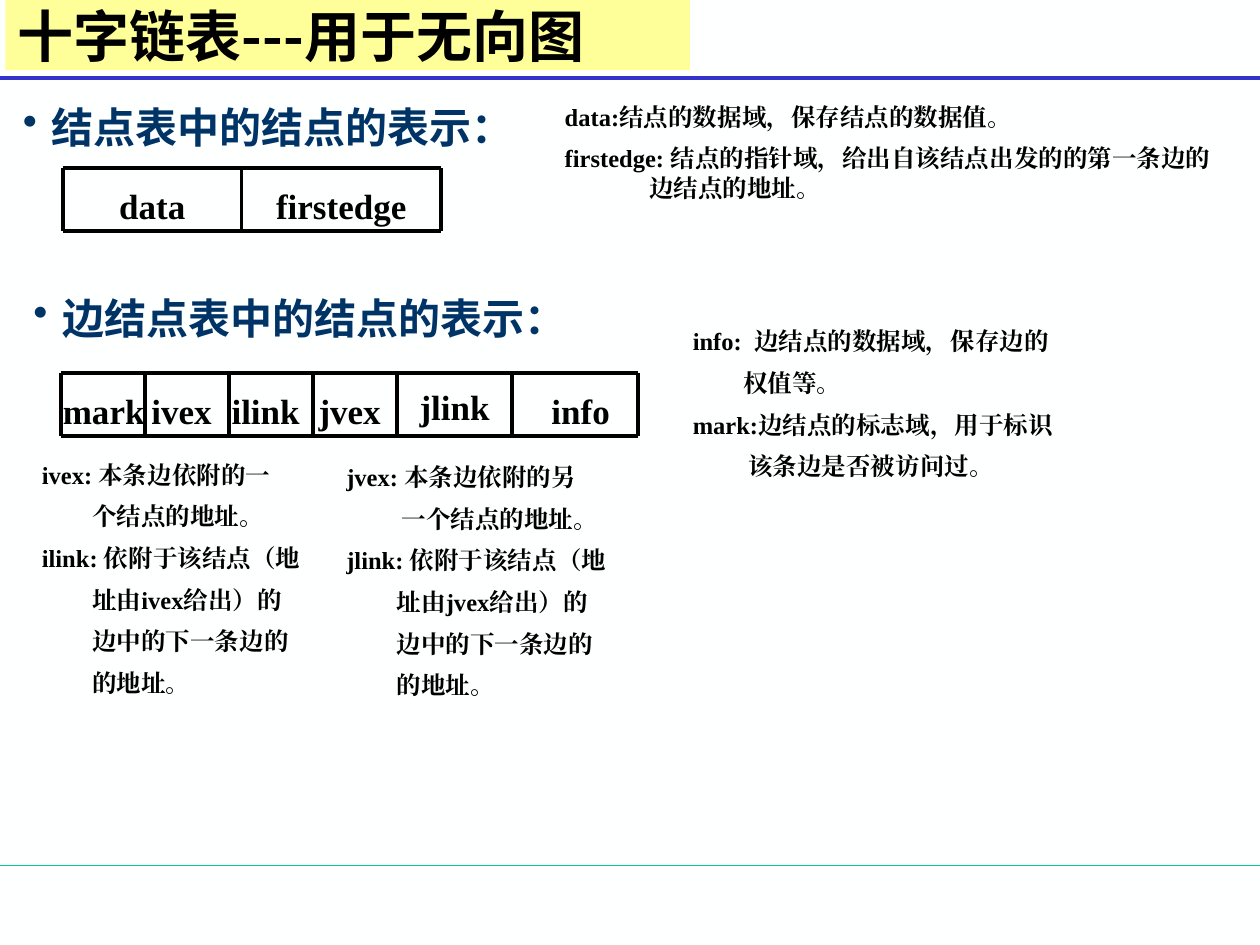
import pptx
import pptx.util
import pptx.dml.color
import pptx.enum.shapes
import pptx.enum.text
import pptx.oxml.ns
from lxml import etree

# The slide is a grid of 120 columns by 90 rows, twelve to the inch.
COLUMNS, ROWS = 120, 90
CELL = pptx.util.Inches(10) // COLUMNS
LATIN, CHINESE = "Times New Roman", "Noto Sans CJK SC"
BLACK, NAVY = "000000", "003366"
LEFT = pptx.enum.text.PP_ALIGN.LEFT
CENTER = pptx.enum.text.PP_ALIGN.CENTER
MIDDLE = pptx.enum.text.MSO_ANCHOR.MIDDLE


def grid(*values):
    return [round(value * CELL) for value in values]


def color(code):
    return pptx.dml.color.RGBColor.from_string(code)


def add_child(parent, tag, **attributes):
    return etree.SubElement(parent, pptx.oxml.ns.qn(tag), **attributes)


def format_paragraph(paragraph, size, font, code):
    for run in paragraph.runs:
        run.font.size = pptx.util.Pt(size)
        run.font.bold = True
        run.font.name = font
        run.font.color.rgb = color(code)
        add_child(run._r.get_or_add_rPr(), "a:ea", typeface=font)


def set_indent(paragraph, margin, hanging=0):
    properties = paragraph._p.get_or_add_pPr()
    properties.set("marL", str(pptx.util.Inches(margin)))
    properties.set("indent", str(-pptx.util.Inches(hanging)))
    return properties


def add_line(slide, x1, y1, x2, y2, code=BLACK, width=2.25):
    line = slide.shapes.add_connector(
        pptx.enum.shapes.MSO_CONNECTOR.STRAIGHT, *grid(x1, y1, x2, y2))
    line.line.color.rgb = color(code)
    line.line.width = pptx.util.Pt(width)
    add_child(line._element.spPr, "a:effectLst")


def add_text_frame(slide, *place):
    text_frame = slide.shapes.add_textbox(*grid(*place)).text_frame
    text_frame.word_wrap = True
    return text_frame


def add_label(slide, text, left, top, alignment):
    paragraph = add_text_frame(slide, left, top, 15, 5.3).paragraphs[0]
    paragraph.text = text
    paragraph.alignment = alignment
    format_paragraph(paragraph, 20, LATIN, BLACK)


def add_heading(slide, text, *place):
    text_frame = add_text_frame(slide, *place)
    text_frame.vertical_anchor = MIDDLE
    paragraph = text_frame.paragraphs[0]
    paragraph.text = text
    add_child(set_indent(paragraph, 0.23, 0.23), "a:buChar", char="•")
    format_paragraph(paragraph, 24, CHINESE, NAVY)


def add_notes(slide, lines, *place):
    """Each line is (text, left margin, hanging indent)."""
    text_frame = add_text_frame(slide, *place)
    for index, (text, margin, hanging) in enumerate(lines):
        paragraph = text_frame.add_paragraph() if index else text_frame.paragraphs[0]
        paragraph.text = text
        set_indent(paragraph, margin, hanging)
        if index:
            paragraph.space_before = pptx.util.Pt(7)
        format_paragraph(paragraph, 14, LATIN, BLACK)


def add_record(slide, left, top, spans, fields):
    """Spans are the widths of the frame parts; a field is
    (name, width, label offset, label row, alignment)."""
    bottom = top + 6
    x = left
    for span in spans:
        for y in (top, bottom):
            add_line(slide, x, y, x + span, y)
        x += span
    x = left
    add_line(slide, x, bottom, x, top)
    for name, width, offset, row, alignment in fields:
        x += width
        add_line(slide, x, bottom, x, top)
        add_label(slide, name, left + offset, top + row, alignment)


def add_title(slide, text, *place):
    title = slide.shapes.add_shape(
        pptx.enum.shapes.MSO_SHAPE.RECTANGLE, *grid(*place))
    title.shadow.inherit = False
    title.fill.solid()
    title.fill.fore_color.rgb = color("FFFF99")
    title.line.fill.background()
    title.text_frame.vertical_anchor = MIDDLE
    paragraph = title.text_frame.paragraphs[0]
    paragraph.text = text
    paragraph.alignment = LEFT
    format_paragraph(paragraph, 32, CHINESE, BLACK)


def main():
    presentation = pptx.Presentation()
    presentation.slide_width, presentation.slide_height = grid(COLUMNS, ROWS)
    slide = presentation.slides.add_slide(presentation.slide_layouts[6])
    slide.background.fill.solid()
    slide.background.fill.fore_color.rgb = color("FEFFFF")

    # Page rules
    add_line(slide, 0, 82.4, COLUMNS, 82.4, "00CC99", 0.75)
    add_line(slide, 0, 7.4, COLUMNS, 7.4, "3333CC")

    # Vertex record
    add_heading(slide, "结点表中的结点的表示：", 1, 9.1, 52, 6)
    add_record(slide, 6, 16, [36], [
        ("data", 17, 1, 1, CENTER), ("firstedge", 19, 19, 1, CENTER)])
    add_notes(slide, [
        ("data:结点的数据域，保存结点的数据值。", 0, 0),
        ("firstedge: 结点的指针域，给出自该结点出发的的第一条边的边结点的地址。",
         0.67, 0.67)], 52.6, 9.1, 65.6, 11.2)

    # Edge record
    add_heading(slide, "边结点表中的结点的表示：", 2, 27.2, 55, 6.1)
    add_record(slide, 5.8, 35.5, [36, 19], [
        ("mark", 8, -1, 1, LEFT), ("ivex", 8, 4, 1, CENTER),
        ("ilink", 8, 12, 1, CENTER), ("jvex", 8, 20, 1, CENTER),
        ("jlink", 11, 30, 0.6, CENTER), ("info", 12, 42, 1, CENTER)])
    add_notes(slide, [
        ("info:  边结点的数据域，保存边的", 0, 0),
        ("权值等。", 0.4, 0),
        ("mark:边结点的标志域，用于标识", 0, 0),
        ("该条边是否被访问过。", 0.44, 0)], 64.8, 30.5, 43, 16.8)

    # Both ends of an edge
    ends = [("i", "一", "个结点的地址。", 0.4, 2.8, 43.2),
            ("j", "另", "一个结点的地址。", 0.44, 31.8, 43.4)]
    for end, first, second, margin, left, top in ends:
        add_notes(slide, [
            (f"{end}vex: 本条边依附的{first}", 0, 0),
            (second, margin, 0),
            (f"{end}link: 依附于该结点（地", 0, 0),
            (f"址由{end}vex给出）的", 0.4, 0),
            ("边中的下一条边的", 0.4, 0),
            ("的地址。", 0.4, 0)], left, top, 28, 25)

    add_title(slide, "十字链表---用于无向图", 0.5, 0, 65.2, 6.7)
    presentation.save("out.pptx")


if __name__ == "__main__":
    main()
